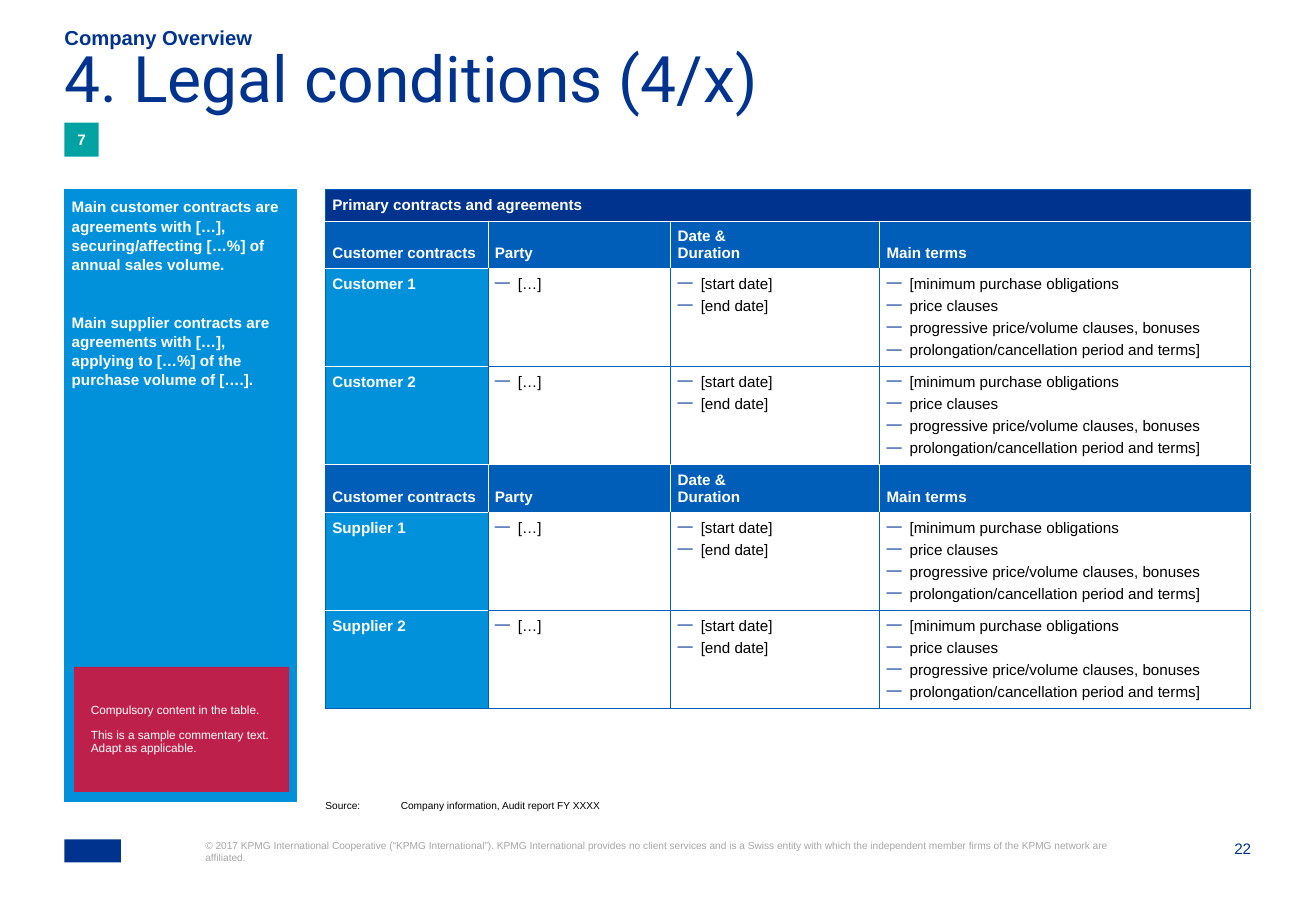
"""Build the legal conditions slide with its contract table."""
from lxml.etree import SubElement
from pptx import Presentation
from pptx.dml.color import RGBColor
from pptx.enum.shapes import MSO_SHAPE as Shape
from pptx.enum.text import MSO_ANCHOR as Anchor, MSO_AUTO_SIZE as AutoSize, PP_ALIGN as Align
from pptx.oxml.ns import qn
from pptx.util import Pt

COLOURS = {"navy": "00338D", "blue": "005EB8", "sky": "0091DA", "teal": "00A3A1",
           "red": "BC204B", "grey": "A6A6A6", "white": "FFFFFF", "black": "000000"}

TITLE = "4. Legal conditions (4/x)"
SECTION = "Company Overview"
FINDINGS = [
    "Main customer contracts are agreements with […], securing/affecting […%] of annual sales volume.",
    "Main supplier contracts are agreements with […], applying to […%] of the purchase volume of [….].",
]
GUIDANCE = ["Compulsory content in the table.", "This is a sample commentary text.", "Adapt as applicable."]
SOURCE = "Source: \tCompany information, Audit report FY XXXX"
COPYRIGHT = ("© 2017 KPMG International Cooperative (“KPMG International”). KPMG International provides no "
             "client services and is a Swiss entity with which the independent member firms of the KPMG "
             "network are affiliated.")

TABLE_TITLE = "Primary contracts and agreements"
HEADINGS = [["Customer contracts"], ["Party"], ["Date &", "Duration"], ["Main terms"]]
TERMS = [
    ["[…]"],
    ["[start date]", "[end date]"],
    ["[minimum purchase obligations", "price clauses", "progressive price/volume clauses, bonuses",
     "prolongation/cancellation period and terms]"],
]
GROUPS = [["Customer 1", "Customer 2"], ["Supplier 1", "Supplier 2"]]

LEFT, TABLE_LEFT, CONTENT_TOP = 38.2, 192.9, 112.3
COLUMN_WIDTHS = [96.3, 108.4, 123.8, 219.9]
TITLE_HEIGHT, HEADING_HEIGHT, CONTRACT_HEIGHT = 18.7, 28.4, 58.07


def colour(name):
    return RGBColor.from_string(COLOURS[name])


def place(shape, left, top, width, height):
    shape.left, shape.top, shape.width, shape.height = Pt(left), Pt(top), Pt(width), Pt(height)


def indent(paragraph, hanging, bullet=None):
    properties = paragraph._p.get_or_add_pPr()
    properties.set("marL", str(Pt(hanging)))
    properties.set("indent", str(Pt(-hanging)))
    if bullet:
        bullet_colour = SubElement(properties, qn("a:buClr"))
        SubElement(bullet_colour, qn("a:srgbClr"), val=COLOURS["navy"])
        SubElement(properties, qn("a:buChar"), char=bullet)
    else:
        SubElement(properties, qn("a:buNone"))


def write(frame, lines, size, ink, bold=False, font="Arial", align=Align.LEFT, spacing=1.0,
          gaps=(), hanging=0, bullet=None):
    frame.text = "\n".join(lines)
    for number, paragraph in enumerate(frame.paragraphs):
        indent(paragraph, hanging, bullet)
        paragraph.alignment = align
        paragraph.line_spacing = spacing
        paragraph.space_before = Pt(gaps[number - 1] if number and gaps else 0)
        paragraph.space_after = Pt(0)
        for run in paragraph.runs:
            run.font.size, run.font.bold, run.font.name = Pt(size), bold, font
            run.font.color.rgb = colour(ink)


def set_frame(frame, inset=0, anchor=Anchor.TOP):
    frame.word_wrap = True
    frame.auto_size = AutoSize.NONE
    frame.vertical_anchor = anchor
    frame.margin_left = frame.margin_right = frame.margin_top = frame.margin_bottom = Pt(inset)


def add_label(slide, box, lines, size, ink, **style):
    shape = slide.shapes.add_textbox(*map(Pt, box))
    set_frame(shape.text_frame)
    write(shape.text_frame, lines, size, ink, **style)


def add_block(slide, box, fill):
    shape = slide.shapes.add_shape(Shape.RECTANGLE, *map(Pt, box))
    shape.shadow.inherit = False
    shape.fill.solid()
    shape.fill.fore_color.rgb = colour(fill)
    shape.line.fill.background()
    set_frame(shape.text_frame, anchor=Anchor.MIDDLE)
    return shape


def set_borders(cell, white_sides):
    properties = cell._tc.get_or_add_tcPr()
    for side in "LRTB":
        line = SubElement(properties, qn(f"a:ln{side}"), w=str(Pt(0.5)))
        fill = SubElement(line, qn("a:solidFill"))
        SubElement(fill, qn("a:srgbClr"), val=COLOURS["white" if side in white_sides else "blue"])


def table_rows():
    rows = [("title", [[TABLE_TITLE], [], [], []])]
    for group in GROUPS:
        rows.append(("heading", HEADINGS))
        rows += [("contract", [[name], *TERMS]) for name in group]
    return rows


def add_contract_table(slide):
    rows = table_rows()
    kinds = [kind for kind, _ in rows]
    heights = {"title": TITLE_HEIGHT, "heading": HEADING_HEIGHT, "contract": CONTRACT_HEIGHT}
    anchors = {"title": Anchor.MIDDLE, "heading": Anchor.BOTTOM, "contract": Anchor.TOP}
    fills = {"title": "navy", "heading": "blue", "contract": "white"}
    last_column = len(COLUMN_WIDTHS) - 1

    def white_above(row, column):
        inside = 0 < row < len(rows)
        return inside and (column == 0 or "heading" in kinds[row - 1:row + 1])

    frame = slide.shapes.add_table(len(rows), len(COLUMN_WIDTHS), Pt(TABLE_LEFT), Pt(CONTENT_TOP),
                                   Pt(sum(COLUMN_WIDTHS)), Pt(sum(heights[kind] for kind in kinds)))
    table = frame.table
    table.first_row = table.horz_banding = False
    for column, width in zip(table.columns, COLUMN_WIDTHS):
        column.width = Pt(width)
    for row, (kind, texts) in enumerate(rows):
        table.rows[row].height = Pt(heights[kind])
        for column, lines in enumerate(texts):
            cell = table.cell(row, column)
            heading = kind == "heading"
            whites = {"T": white_above(row, column), "B": white_above(row + 1, column),
                      "L": heading and column > 0, "R": heading and column < last_column}
            set_borders(cell, [side for side, white in whites.items() if white])
            cell.fill.solid()
            is_label = kind == "contract" and column == 0
            cell.fill.fore_color.rgb = colour("sky" if is_label else fills[kind])
            cell.vertical_anchor = anchors[kind]
            cell.margin_left = cell.margin_right = cell.margin_top = cell.margin_bottom = Pt(4.1)
            if kind == "contract" and column:
                write(cell.text_frame, lines, 9, "black", gaps=[3] * len(lines), hanging=13.7, bullet="—")
            else:
                write(cell.text_frame, lines, 9, "white", bold=True)
    table.cell(0, 0).merge(table.cell(0, last_column))


def main():
    presentation = Presentation()
    presentation.slide_width, presentation.slide_height = Pt(780), Pt(540)
    slide = presentation.slides.add_slide(presentation.slide_layouts[3])
    title, sidebar, section = slide.placeholders

    place(title, LEFT, 35.3, 702, 56.9)
    set_frame(title.text_frame)
    write(title.text_frame, [TITLE], 38, "navy", font="Roboto", spacing=0.7)

    place(section, LEFT, 15.8, 676.8, 13.7)
    set_frame(section.text_frame, anchor=Anchor.BOTTOM)
    write(section.text_frame, [SECTION], 12, "navy", bold=True)

    place(sidebar, LEFT, CONTENT_TOP, 137.5, 362.9)
    sidebar.fill.solid()
    sidebar.fill.fore_color.rgb = colour("sky")
    sidebar.line.color.rgb = colour("sky")
    sidebar.line.width = Pt(0.75)
    set_frame(sidebar.text_frame, inset=4.3)
    write(sidebar.text_frame, FINDINGS, 9, "white", bold=True, spacing=1.05, gaps=[22.8])

    badge = add_block(slide, (LEFT, 72.7, 20.2, 20.2), "teal")
    write(badge.text_frame, ["7"], 9, "white", bold=True, align=Align.CENTER)
    guidance = add_block(slide, (43.9, 395.3, 127.5, 74.2), "red")
    guidance.text_frame.margin_left = Pt(10)
    write(guidance.text_frame, GUIDANCE, 7, "white", spacing=0.9, gaps=[7.2, 0])

    add_contract_table(slide)
    add_label(slide, (TABLE_LEFT, 474.5, 288, 6.5), [SOURCE], 6, "black", spacing=0.9, hanging=44.7)

    add_block(slide, (LEFT, 497.5, 33.5, 13.7), "navy")
    add_label(slide, (121.7, 497.5, 539.3, 29.5), [COPYRIGHT], 6, "grey")
    add_label(slide, (710.6, 497.5, 31, 11.5), ["22"], 9, "navy", align=Align.RIGHT)
    presentation.save("out.pptx")


if __name__ == "__main__":
    main()
